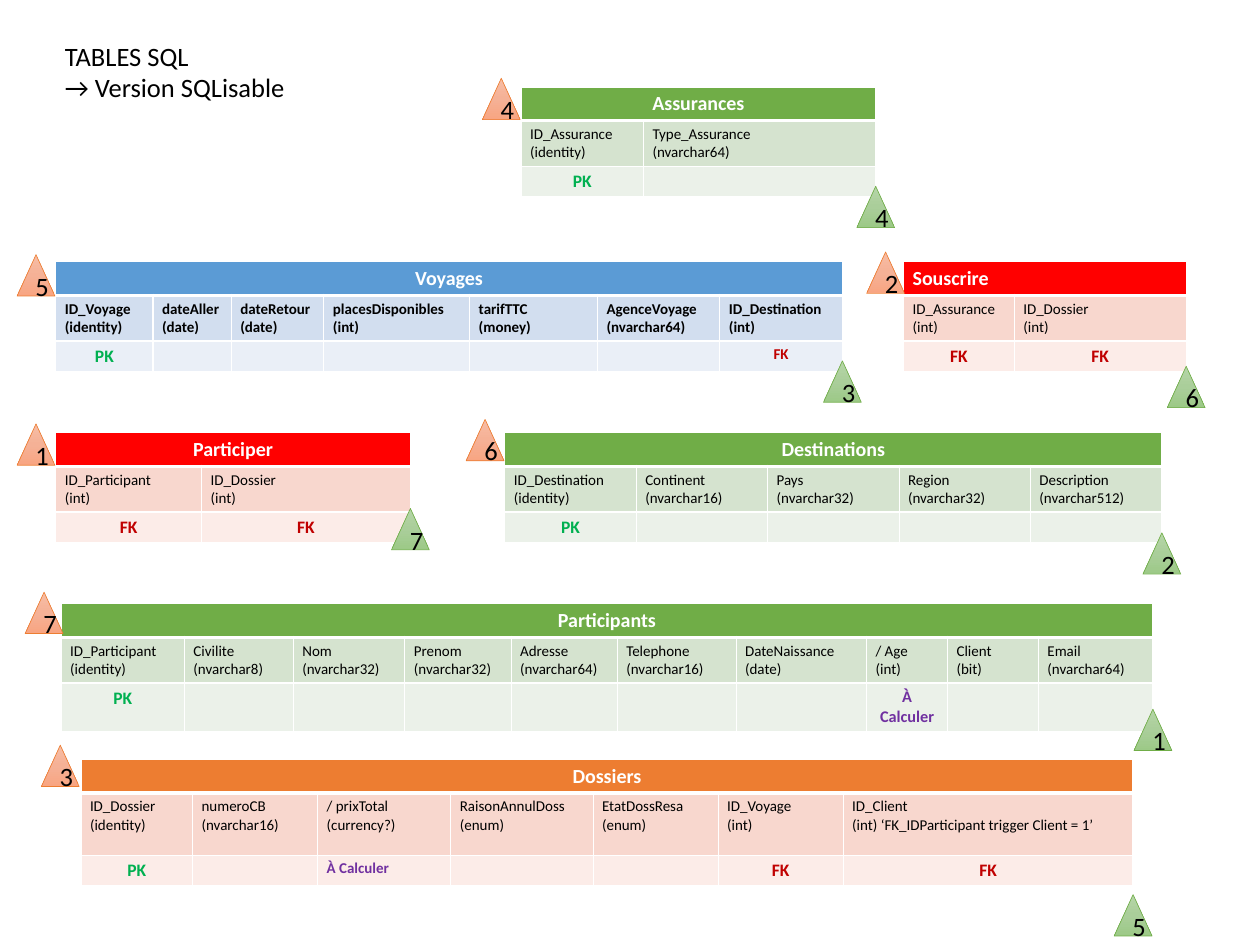
import copy

import pptx
import pptx.dml.color
import pptx.enum.shapes
import pptx.enum.text
import pptx.oxml.ns
import pptx.util
from lxml import etree
from pptx.util import Inches

LEFT = pptx.enum.text.PP_ALIGN.LEFT
CENTER = pptx.enum.text.PP_ALIGN.CENTER
MIDDLE = pptx.enum.text.MSO_ANCHOR.MIDDLE
TOP = pptx.enum.text.MSO_ANCHOR.TOP
qn = pptx.oxml.ns.qn

HEADING = ["TABLES SQL", "→ Version SQLisable"]
# header, column row, key row
GREEN = ("70AD47", "D5E3CF", "EBF1E9")
BLUE = ("5B9BD5", "D2DEEF", "EAEFF7")
RED = ("FF0000", "F8D7CE", "FCECE8")
ORANGE = ("ED7D31", "F8D7CE", "FCECE8")
ROWS = (0.37, 0.49, 0.33)

KEY_COLORS = {"PK": "00B050", "FK": "C00000", "À Calculer": "7030A0"}
PK, FK = ("PK", 14, CENTER), ("FK", 14, CENTER)

# fields: name, type, width; keys: column index -> label, size, alignment
# create / drop: step number and triangle position (drop sits on the right edge)
ENTITIES = [
    dict(name="Dossiers", at=(0.9, 8.44), colors=ORANGE, rows=(0.37, 0.69, 0.33),
         fields=[("ID_Dossier", "(identity)", 1.24), ("numeroCB", "(nvarchar16)", 1.39),
                 ("/ prixTotal", "(currency?)", 1.48), ("RaisonAnnulDoss", "(enum)", 1.58),
                 ("EtatDossResa", "(enum)", 1.39), ("ID_Voyage", "(int)", 1.39),
                 ("ID_Client", "(int) ‘FK_IDParticipant trigger Client = 1’", 3.22)],
         keys={0: PK, 2: ("À Calculer", 12, LEFT), 5: FK, 6: FK},
         create=(3, 0.46, 8.28), drop=(5, 9.94)),
    dict(name="Participants", at=(0.68, 6.71), colors=GREEN, rows=(0.37, 0.49, 0.53),
         fields=[("ID_Participant", "(identity)", 1.37), ("Civilite", "(nvarchar8)", 1.21),
                 ("Nom", "(nvarchar32)", 1.24), ("Prenom", "(nvarchar32)", 1.18),
                 ("Adresse", "(nvarchar64)", 1.18), ("Telephone", "(nvarchar16)", 1.32),
                 ("DateNaissance", "(date)", 1.45), ("/ Age", "(int)", 0.9),
                 ("Client", "(bit)", 1.01), ("Email", "(nvarchar64)", 1.27)],
         keys={0: PK, 7: ("À Calculer", 13, CENTER)},
         create=(7, 0.28, 6.58), drop=(1, 7.88)),
    dict(name="Voyages", at=(0.62, 2.91), colors=BLUE, bold_fields=True,
         fields=[("ID_Voyage", "(identity)", 1.08), ("dateAller", "(date)", 0.87),
                 ("dateRetour", "(date)", 1.03), ("placesDisponibles", "(int)", 1.62),
                 ("tarifTTC", "(money)", 1.42), ("AgenceVoyage", "(nvarchar64)", 1.36),
                 ("ID_Destination", "(int)", 1.36)],
         keys={0: PK, 6: ("FK", 12, CENTER)},
         create=(5, 0.19, 2.83), drop=(3, 4.01)),
    dict(name="Destinations", at=(5.61, 4.81), colors=GREEN,
         fields=[("ID_Destination", "(identity)", 1.46), ("Continent", "(nvarchar16)", 1.46),
                 ("Pays", "(nvarchar32)", 1.46), ("Region", "(nvarchar32)", 1.46),
                 ("Description", "(nvarchar512)", 1.46)],
         keys={0: PK}, create=(6, 5.18, 4.66), drop=(2, 5.92)),
    dict(name="Participer", at=(0.62, 4.81), colors=RED,
         fields=[("ID_Participant", "(int)", 1.62), ("ID_Dossier", "(int)", 2.32)],
         keys={0: FK, 1: FK}, create=(1, 0.19, 4.71), drop=(7, 5.65)),
    dict(name="Assurances", at=(5.79, 0.97), colors=GREEN,
         fields=[("ID_Assurance", "(identity)", 1.36), ("Type_Assurance", "(nvarchar64)", 2.58)],
         keys={0: PK}, create=(4, 5.36, 0.87), drop=(4, 2.07)),
    dict(name="Souscrire", at=(10.04, 2.91), colors=RED, title_align=LEFT,
         fields=[("ID_Assurance", "(int)", 1.23), ("ID_Dossier", "(int)", 1.91)],
         keys={0: FK, 1: FK}, create=(2, 9.63, 2.8), drop=(6, 4.07)),
]

TRIANGLE_WIDTH, TRIANGLE_HEIGHT = 0.42, 0.46
CREATE_STYLE = ("ED7D31", ["F7BDA5", "F5B196", "F8A582"])
DROP_STYLE = ("70AD47", ["B5D5A7", "AACE9A", "9CC987"])


def rgb(value):
    """Return the colour for a hex string."""
    return pptx.dml.color.RGBColor.from_string(value)


def write(frame, lines, size=12, color="000000", bold=False, align=LEFT, anchor=TOP):
    """Write one paragraph per line with a shared format."""
    frame.vertical_anchor = anchor
    for index, line in enumerate(lines):
        paragraph = frame.add_paragraph() if index else frame.paragraphs[0]
        paragraph.alignment = align
        run = paragraph.add_run()
        run.text = line
        run.font.name = "Calibri"
        run.font.size = pptx.util.Pt(size)
        run.font.bold = bold
        run.font.color.rgb = rgb(color)


def style_cell(cell, fill, row):
    """Give a cell white borders, thicker under the header, and a fill."""
    properties = cell._tc.get_or_add_tcPr()
    thick = {0: "lnB", 1: "lnT"}.get(row)
    for side in ("lnL", "lnR", "lnT", "lnB"):
        points = 3 if side == thick else 1
        border = etree.SubElement(properties, qn("a:" + side), w=str(pptx.util.Pt(points)))
        solid = etree.SubElement(border, qn("a:solidFill"))
        etree.SubElement(solid, qn("a:srgbClr"), val="FFFFFF")
    cell.fill.solid()
    cell.fill.fore_color.rgb = rgb(fill)


def add_entity(shapes, name, at, colors, fields, keys, rows=ROWS,
               bold_fields=False, title_align=CENTER, **steps):
    """Draw one SQL table: name, fields and keys."""
    width = sum(field[2] for field in fields)
    table = shapes.add_table(3, len(fields), Inches(at[0]), Inches(at[1]),
                             Inches(width), Inches(sum(rows))).table
    for row, height in enumerate(rows):
        table.rows[row].height = Inches(height)
        for column in range(len(fields)):
            style_cell(table.cell(row, column), colors[row], row)
    table.cell(0, 0).merge(table.cell(0, len(fields) - 1))
    write(table.cell(0, 0).text_frame, [name], size=16, color="FFFFFF", bold=True,
          align=title_align)
    for column, (field, kind, field_width) in enumerate(fields):
        table.columns[column].width = Inches(field_width)
        write(table.cell(1, column).text_frame, [field, kind], bold=bold_fields)
        key_frame = table.cell(2, column).text_frame
        if column in keys:
            label, size, align = keys[column]
            write(key_frame, [label], size=size, color=KEY_COLORS[label], bold=True, align=align)
        else:
            etree.SubElement(key_frame.paragraphs[0]._p, qn("a:endParaRPr"), sz="1200")


def add_step(shapes, number, left, top, style):
    """Draw a numbered triangle with a three-stop gradient."""
    line, stops = style
    triangle = shapes.add_shape(pptx.enum.shapes.MSO_SHAPE.ISOSCELES_TRIANGLE,
                                Inches(left), Inches(top),
                                Inches(TRIANGLE_WIDTH), Inches(TRIANGLE_HEIGHT))
    triangle.shadow.inherit = False
    triangle.line.color.rgb = rgb(line)
    triangle.line.width = pptx.util.Pt(0.5)
    triangle.fill.gradient()
    triangle.fill.gradient_angle = 270
    stop_list = triangle._element.spPr.find(".//" + qn("a:gsLst"))
    stop_list.insert(1, copy.deepcopy(stop_list[0]))
    for index, stop in enumerate(triangle.fill.gradient_stops):
        stop.color.rgb = rgb(stops[index])
        stop.position = index / 2
    write(triangle.text_frame, [str(number)], size=21.2, align=CENTER, anchor=MIDDLE)


deck = pptx.Presentation()
deck.slide_width, deck.slide_height = Inches(14), Inches(10.5)
slide = deck.slides.add_slide(deck.slide_layouts[5])

heading = slide.shapes.title
heading.left, heading.top = Inches(0.62), Inches(0.39)
heading.width, heading.height = Inches(2.73), Inches(0.81)
heading.text_frame.auto_size = pptx.enum.text.MSO_AUTO_SIZE.NONE
write(heading.text_frame, HEADING, size=21.2)

for entity in ENTITIES:
    add_entity(slide.shapes, **entity)
for entity in ENTITIES:
    add_step(slide.shapes, *entity["create"], CREATE_STYLE)
    right = entity["at"][0] + sum(field[2] for field in entity["fields"])
    number, top = entity["drop"]
    add_step(slide.shapes, number, right - TRIANGLE_WIDTH / 2, top, DROP_STYLE)

deck.save("out.pptx")
